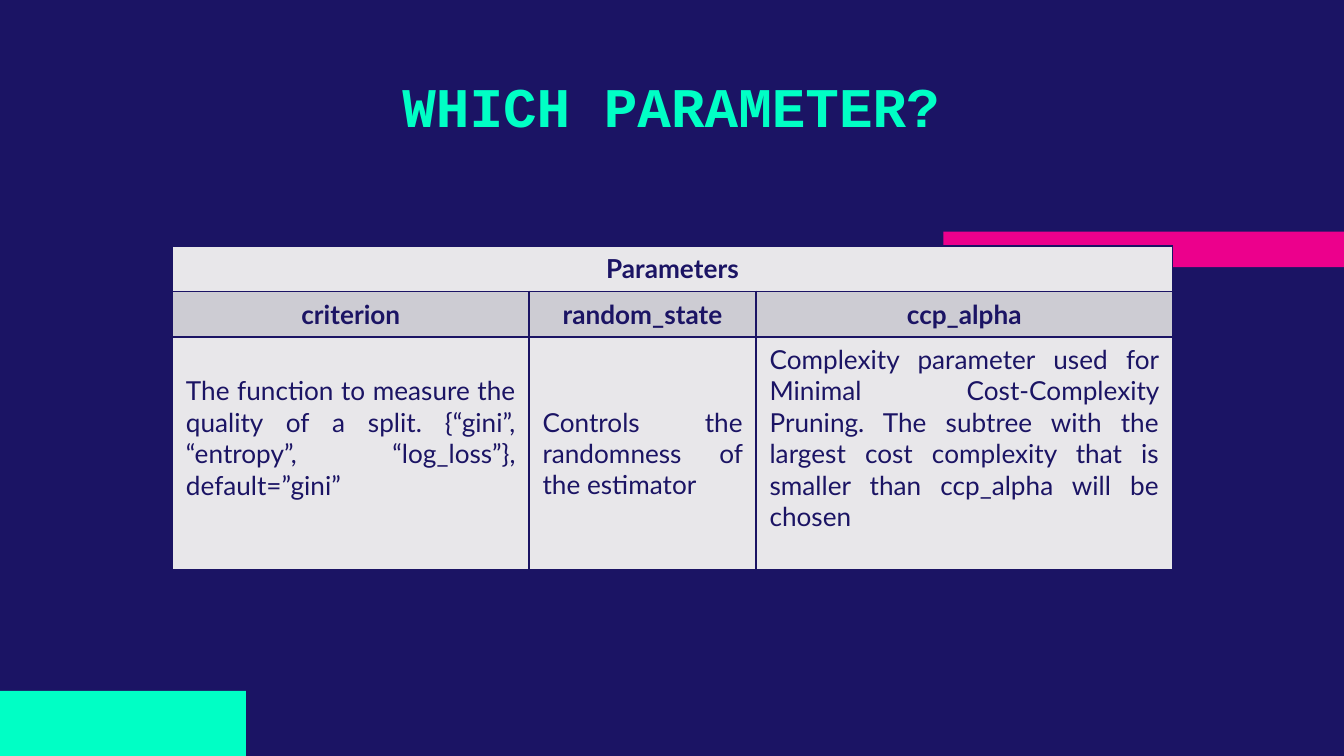
from dataclasses import dataclass

from lxml import etree
from pptx import Presentation
from pptx import util as u
from pptx.dml.color import RGBColor
from pptx.enum import shapes, text
from pptx.oxml.ns import qn


@dataclass(frozen=True)
class Theme:
    navy: str = "1B1464"
    mint: str = "00FFC5"
    pink: str = "EC008C"
    light: str = "E8E7EA"
    grey: str = "CDCCD3"
    title_font: str = "Courier New"
    table_font: str = "Lato"
    title_size: int = 30
    table_size: int = 14


@dataclass(frozen=True)
class Bar:
    left: float
    top: float
    width: float
    height: float
    color: str


@dataclass(frozen=True)
class Parameter:
    name: str
    description: str
    width: float
    bottom_margin: float = 0.13


THEME = Theme()
CENTER = text.PP_ALIGN.CENTER
HEADING_HEIGHT, BODY_HEIGHT = 0.86, 4.4

BARS = [
    Bar(17.83, 4.38, 7.57, 0.67, THEME.pink),
    Bar(0, 13.06, 4.65, 1.23, THEME.mint),
]
# A deeper bottom margin lifts the two longer descriptions by half a line.
PARAMETERS = [
    Parameter(
        "criterion",
        "The function to measure the quality of a split. "
        "{“gini”, “entropy”, “log_loss”}, default=”gini”",
        6.74, 0.72,
    ),
    Parameter("random_state", "Controls the randomness of the estimator", 4.29),
    Parameter(
        "ccp_alpha",
        "Complexity parameter used for Minimal Cost-Complexity Pruning. "
        "The subtree with the largest cost complexity that is smaller than "
        "ccp_alpha will be chosen",
        7.87, 0.72,
    ),
]


def write(frame, words: str, *, font: str, size: int, color: str,
          bold: bool = False, align=CENTER) -> None:
    frame.word_wrap = True
    para = frame.paragraphs[0]
    para.alignment = align
    span = para.add_run()
    span.text = words
    span.font.name = font
    span.font.size = u.Pt(size)
    span.font.bold = bold
    span.font.color.rgb = RGBColor.from_string(color)


def add_title(page, words: str) -> None:
    title = page.shapes.title
    title.left, title.top = u.Cm(2.97), u.Cm(1.07)
    title.width, title.height = u.Cm(19.43), u.Cm(1.85)
    title.text_frame.vertical_anchor = text.MSO_ANCHOR.MIDDLE
    write(title.text_frame, words, font=THEME.title_font,
          size=THEME.title_size, color=THEME.mint, bold=True)


def add_bar(page, bar: Bar) -> None:
    box = page.shapes.add_shape(
        shapes.MSO_SHAPE.RECTANGLE,
        u.Cm(bar.left), u.Cm(bar.top), u.Cm(bar.width), u.Cm(bar.height))
    box.shadow.inherit = False
    box.fill.solid()
    box.fill.fore_color.rgb = RGBColor.from_string(bar.color)
    box.line.fill.background()


def format_cell(cell, fill: str) -> None:
    """Fill the cell, centre it vertically and rule all four sides."""
    cell.vertical_anchor = text.MSO_ANCHOR.MIDDLE
    cell.fill.solid()
    cell.fill.fore_color.rgb = RGBColor.from_string(fill)
    properties = cell._tc.get_or_add_tcPr()
    for position, side in enumerate(("lnL", "lnR", "lnT", "lnB")):
        border = etree.Element(qn(f"a:{side}"), w=str(u.Pt(1)))
        solid = etree.SubElement(border, qn("a:solidFill"))
        etree.SubElement(solid, qn("a:srgbClr"), val=THEME.navy)
        properties.insert(position, border)


def add_parameter_table(page, parameters: list[Parameter]) -> None:
    heights = (HEADING_HEIGHT, HEADING_HEIGHT, BODY_HEIGHT)
    table = page.shapes.add_table(
        len(heights), len(parameters), u.Cm(3.26), u.Cm(4.65),
        u.Cm(sum(item.width for item in parameters)),
        u.Cm(sum(heights))).table
    table.first_row = table.horz_banding = False
    for row, height in zip(table.rows, heights):
        row.height = u.Cm(height)

    style = dict(font=THEME.table_font, size=THEME.table_size, color=THEME.navy)
    for index, item in enumerate(parameters):
        table.columns[index].width = u.Cm(item.width)
        heading, name, body = (table.cell(row, index) for row in range(3))
        format_cell(heading, THEME.light)
        format_cell(name, THEME.grey)
        format_cell(body, THEME.light)
        body.margin_bottom = u.Cm(item.bottom_margin)
        write(name.text_frame, item.name, bold=True, **style)
        write(body.text_frame, item.description,
              align=text.PP_ALIGN.JUSTIFY, **style)

    heading = table.cell(0, 0)
    heading.merge(table.cell(0, len(parameters) - 1))
    write(heading.text_frame, "Parameters", bold=True, **style)


def main() -> None:
    deck = Presentation()
    deck.slide_width, deck.slide_height = u.Cm(25.4), u.Cm(14.29)
    page = deck.slides.add_slide(deck.slide_layouts.get_by_name("Title Only"))
    page.background.fill.solid()
    page.background.fill.fore_color.rgb = RGBColor.from_string(THEME.navy)
    for bar in BARS:
        add_bar(page, bar)
    add_title(page, "WHICH PARAMETER?")
    add_parameter_table(page, PARAMETERS)
    deck.save("out.pptx")


if __name__ == "__main__":
    main()
